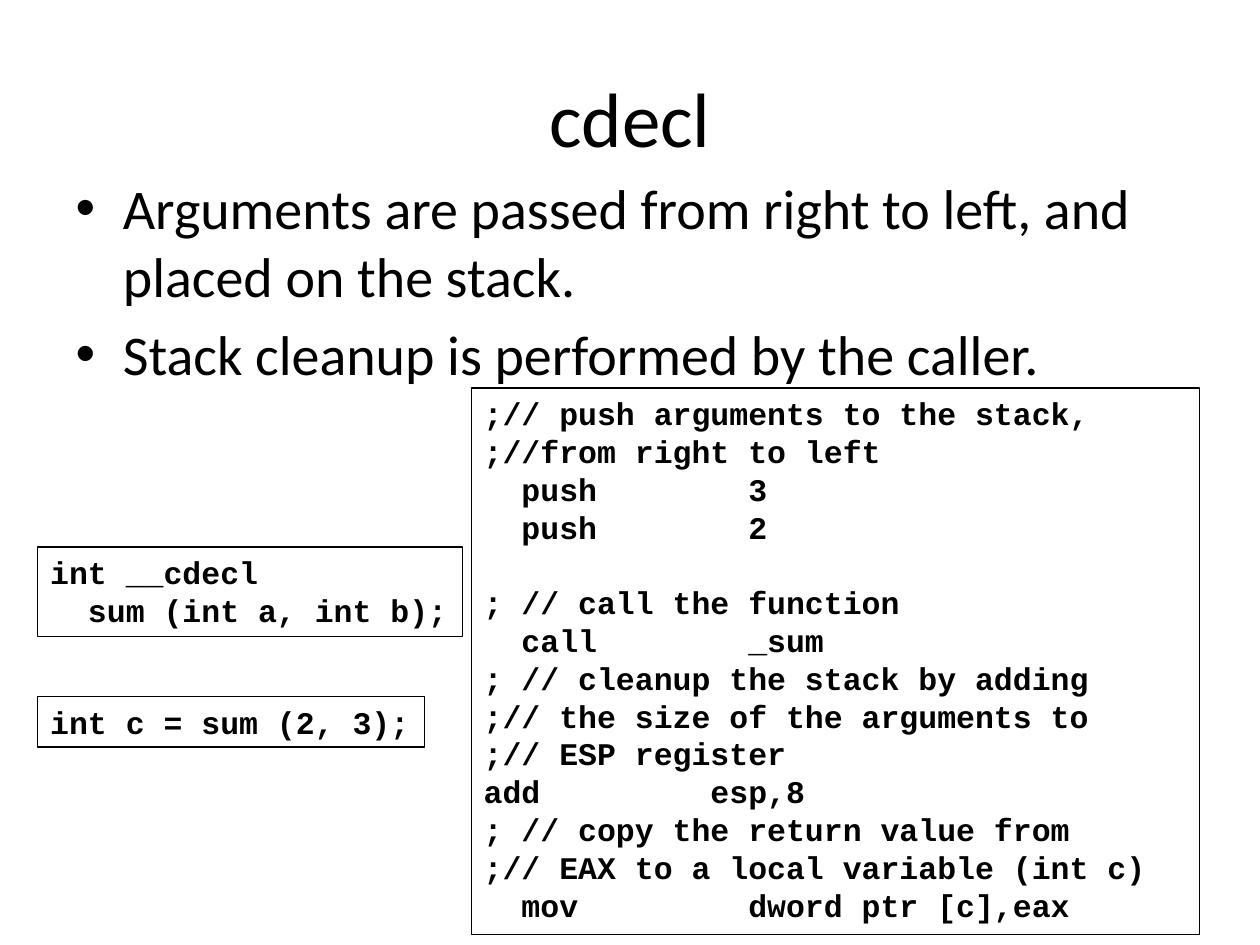
from lxml import etree
from pptx import Presentation
from pptx.dml.color import RGBColor
from pptx.enum.text import MSO_ANCHOR, MSO_AUTO_SIZE, PP_ALIGN
from pptx.oxml.ns import qn
from pptx.util import Inches, Pt

CENTER, LEFT = PP_ALIGN.CENTER, PP_ALIGN.LEFT
TOP, MIDDLE = MSO_ANCHOR.TOP, MSO_ANCHOR.MIDDLE
NO_FIT = MSO_AUTO_SIZE.NONE
BLACK = RGBColor(0, 0, 0)

HEADING = ["cdecl"]
RULES = [
    "Arguments are passed from right to left, and placed on the stack.",
    "Stack cleanup is performed by the caller.",
]
CALL = ["int c = sum (2, 3);"]
DECLARATION = ["int __cdecl", "\tsum (int a, int b);"]
ASSEMBLY = [
    ";// push arguments to the stack,",
    ";//from right to left",
    "\tpush\t3",
    "\tpush\t2",
    "; // call the function",
    "\tcall\t_sum",
    "; // cleanup the stack by adding",
    ";// the size of the arguments to",
    ";// ESP register",
    "add\t\u200besp,8".replace("\u200b", ""),
    "; // copy the return value from",
    ";// EAX to a local variable (int c)",
    "\tmov\t\tdword ptr [c],eax".replace("\t\t", "\t"),
]
SECTION_START = "; // call the function"

CODE_SIZE = 18
CODE_LINE = 21.6
CHARACTER = 0.15
INDENT_COLUMN, OPERAND_COLUMN, ADD_COLUMN = 2, 14, 12
LEFT_EDGE = 0.3
CODE_BOXES = [
    (CALL, (LEFT_EDGE, 5.53, 3.07, 0.4)),
    (ASSEMBLY, (3.74, 3.08, 5.78, 4.34)),
    (DECLARATION, (LEFT_EDGE, 4.34, 3.37, 0.71)),
]


def write(frame, lines, size, font, bold=False, align=LEFT, anchor=TOP):
    frame.word_wrap = True
    frame.auto_size = NO_FIT
    frame.vertical_anchor = anchor
    for number, line in enumerate(lines):
        paragraph = frame.paragraphs[0] if number == 0 else frame.add_paragraph()
        paragraph.alignment = align
        run = paragraph.add_run()
        run.text = line
        run.font.size = Pt(size)
        run.font.name = font
        run.font.bold = bold
        run.font.color.rgb = BLACK


def set_tabs(paragraph, columns):
    tabs = etree.SubElement(paragraph._p.get_or_add_pPr(), qn("a:tabLst"))
    for column in columns:
        position = Inches(column * CHARACTER)
        etree.SubElement(tabs, qn("a:tab"), pos=str(position), algn="l")


def place(part, left, top, width, height):
    part.left, part.top = Inches(left), Inches(top)
    part.width, part.height = Inches(width), Inches(height)


deck = Presentation()
deck.slide_width, deck.slide_height = Inches(10), Inches(7.5)
slide = deck.slides.add_slide(deck.slide_layouts[1])

title, body = slide.placeholders
place(title, 0.5, 0.3, 9, 1.25)
write(title.text_frame, HEADING, 44, "Calibri", align=CENTER, anchor=MIDDLE)
place(body, 0.5, 1.33, 9, 3)
write(body.text_frame, RULES, 32, "Calibri")

for lines, area in CODE_BOXES:
    code = slide.shapes.add_textbox(*map(Inches, area))
    code.line.color.rgb = BLACK
    code.line.width = Pt(0.75)
    write(code.text_frame, lines, CODE_SIZE, "Courier New", bold=True)
    for paragraph, line in zip(code.text_frame.paragraphs, lines):
        if line == SECTION_START:
            paragraph.space_before = Pt(CODE_LINE)
        if line.startswith("\t"):
            set_tabs(paragraph, (INDENT_COLUMN, OPERAND_COLUMN))
        elif "\t" in line:
            set_tabs(paragraph, (ADD_COLUMN,))

deck.save("out.pptx")
